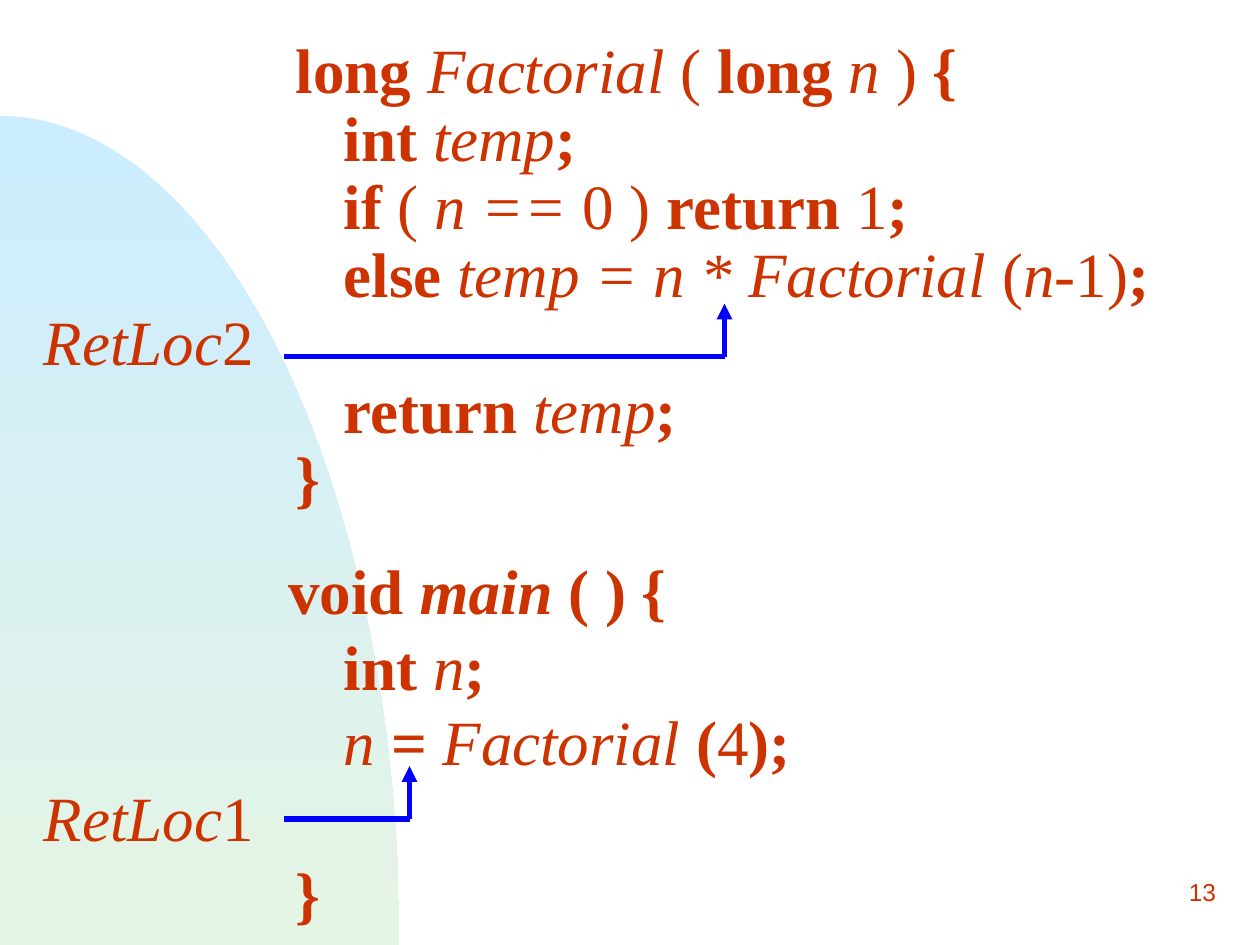
import math
from dataclasses import dataclass

from lxml import etree
from pptx import Presentation
from pptx import util as u
from pptx.dml.color import RGBColor
from pptx.enum import shapes, text
from pptx.oxml import ns

COLORS = {"code": "CC3300", "arrow": "0000FF", "sky": "CCECFF", "mint": "E5F5E5"}

FACTORIAL = [
    (2.25, [("long ", "b"), ("Factorial ", "i"), ("( ", ""), ("long ", "b"),
            ("n", "i"), (" ) ", ""), ("{", "b")]),
    (2.63, [("int ", "b"), ("temp", "i"), (";", "b")]),
    (2.63, [("if", "b"), (" (", ""), (" n == ", "i"), ("0 ) ", ""),
            ("return", "b"), (" 1", ""), (";", "b")]),
    (2.63, [("else ", "b"), ("temp = n * Factorial", "i"), (" (", ""),
            ("n-", "i"), ("1)", ""), (";", "b")]),
    (0.25, [("RetLoc", "i"), ("2", "")]),
    (2.63, [("return ", "b"), ("temp", "i"), (";", "b")]),
    (2.25, [("}", "b")]),
]
MAIN = [
    (2.06, [("void ", "b"), ("main", "bi"), (" ( ) {", "b")]),
    (2.5, [("int ", "b"), ("n", "i"), (";", "b")]),
    (2.5, [("n", "i"), (" = ", "b"), ("Factorial", "i"), (" (", "b"),
           ("4", ""), (");", "b")]),
    (0.12, [("RetLoc", "i"), ("1", "")]),
    (2.12, [("}", "b")]),
]


@dataclass
class Painter:
    """Draws styled elements on the current slide."""

    page: object
    code_font: str = "Times New Roman"
    number_font: str = "Arial"
    code_size: float = 36

    def color(self, name):
        return RGBColor.from_string(COLORS[name])

    def text_box(self, left, top, width, height):
        box = self.page.shapes.add_textbox(
            u.Inches(left), u.Inches(top), u.Inches(width), u.Inches(height))
        box.text_frame.word_wrap = True
        return box.text_frame

    def set_font(self, para, name, size):
        para.font.name = name
        para.font.size = u.Pt(size)
        para.font.color.rgb = self.color("code")

    def code(self, left, top, width, height, lines, pitch):
        frame = self.text_box(left, top, width, height)
        for index, (indent, spans) in enumerate(lines):
            para = frame.add_paragraph() if index else frame.paragraphs[0]
            para.line_spacing = u.Pt(pitch)
            properties = para._p.get_or_add_pPr()
            properties.set("marL", str(u.Inches(indent)))
            properties.set("indent", "0")
            self.set_font(para, self.code_font, self.code_size)
            for words, style in spans:
                span = para.add_run()
                span.text = words
                span.font.bold = "b" in style
                span.font.italic = "i" in style

    def page_number(self, left, top, width, height, number):
        frame = self.text_box(left, top, width, height)
        frame.vertical_anchor = text.MSO_ANCHOR.MIDDLE
        para = frame.paragraphs[0]
        para.text = number
        para.alignment = text.PP_ALIGN.RIGHT
        self.set_font(para, self.number_font, 14)

    def quarter_ellipse(self, top, width, height, steps=90):
        angles = [math.pi / 2 * step / steps for step in range(steps + 1)]
        points = [(u.Inches(width * math.sin(angle)),
                   u.Inches(top + height * (1 - math.cos(angle)))) for angle in angles]
        builder = self.page.shapes.build_freeform(*points[0])
        builder.add_line_segments(points[1:] + [(0, u.Inches(top + height))])
        shape = builder.convert_to_shape()
        shape.shadow.inherit = False
        shape.line.fill.background()
        shape.fill.gradient()
        shape.fill.gradient_angle = 270
        for stop, name in zip(shape.fill.gradient_stops, ("sky", "mint")):
            stop.color.rgb = self.color(name)

    def line(self, start, end, arrow=False):
        connector = self.page.shapes.add_connector(
            shapes.MSO_CONNECTOR.STRAIGHT, *map(u.Inches, start + end))
        connector.line.color.rgb = self.color("arrow")
        connector.line.width = u.Pt(3)
        if arrow:
            tail = etree.SubElement(connector.line._get_or_add_ln(), ns.qn("a:tailEnd"))
            tail.set("type", "triangle")
        etree.SubElement(connector._element.spPr, ns.qn("a:effectLst"))

    def return_arrow(self, left, right, base, rise=0.42):
        self.line((left, base), (right, base))
        self.line((right, base), (right, base - rise), arrow=True)


def main():
    deck = Presentation()
    deck.slide_width, deck.slide_height = u.Inches(10), u.Inches(7.5)
    painter = Painter(deck.slides.add_slide(deck.slide_layouts[6]))
    painter.quarter_ellipse(0.92, 3.17, 6.58)
    painter.code(0, 0.25, 10, 3.88, FACTORIAL, 38.9)
    painter.code(0.13, 4.33, 9.62, 3.1, MAIN, 43.2)
    painter.return_arrow(2.25, 5.75, 2.83)
    painter.return_arrow(2.25, 3.25, 6.5)
    painter.page_number(7.67, 6.83, 2.08, 0.5, "13")
    deck.save("out.pptx")


if __name__ == "__main__":
    main()
